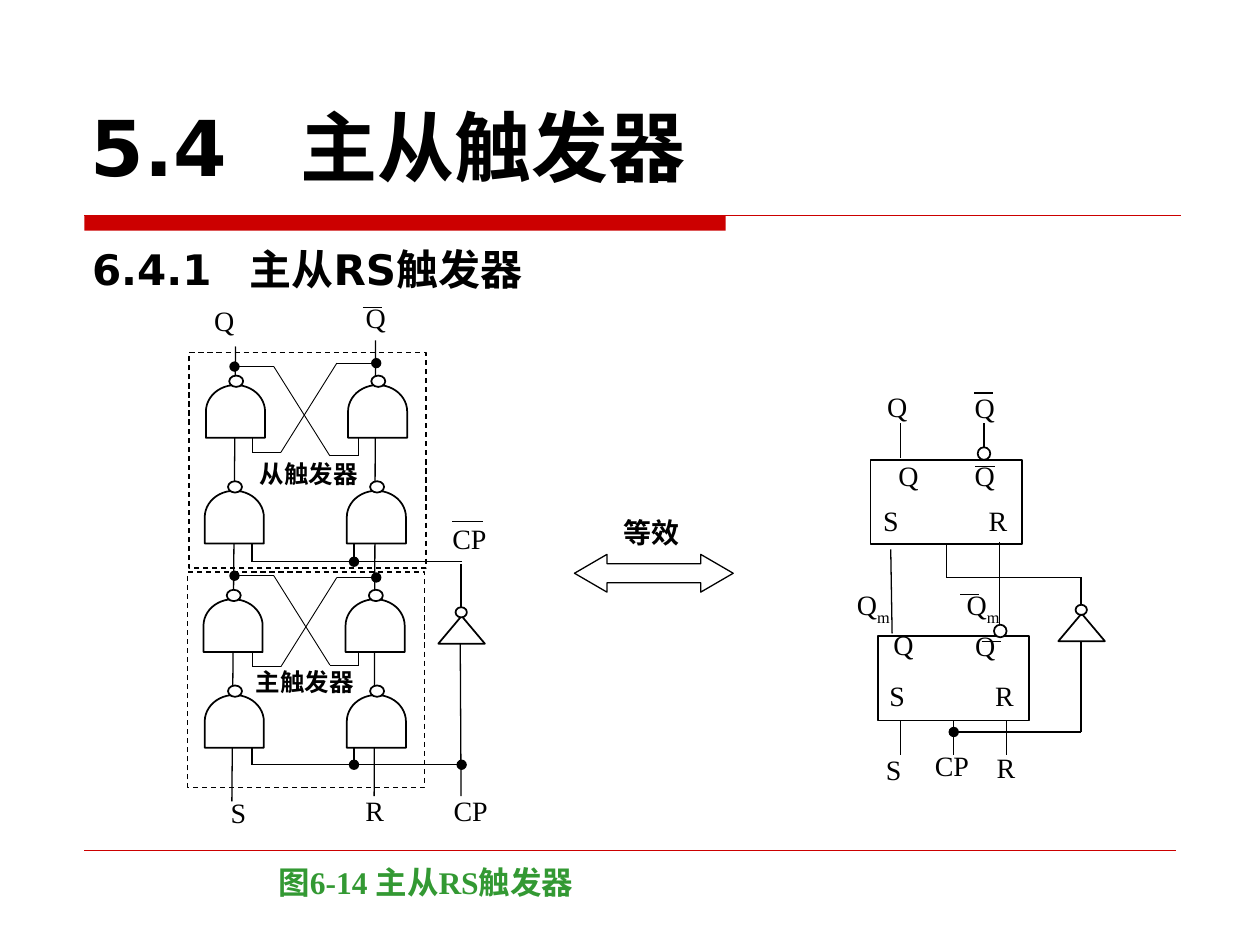
"""Build the master-slave RS flip-flop slide with its circuit and block diagram."""
from lxml import etree
from pptx import Presentation
from pptx import util as u
from pptx.dml import color
from pptx.enum import dml, shapes, text
from pptx.oxml import ns

COLORS = {"ink": "000000", "paper": "FFFFFF", "accent": "CC0000", "caption": "339933"}
SERIF, SANS = "Times New Roman", "DejaVu Sans"
KIND = shapes.MSO_SHAPE


def rgb(name):
    """Return the named palette colour."""
    return color.RGBColor.from_string(COLORS[name])


def add_text(slide, content, left, top, width=30, height=23, size=16, font=SERIF,
             ink="ink", bold=False, tab=None, subscript="", anchor=text.MSO_ANCHOR.TOP):
    """Add a text box without insets, with an optional tab stop and subscript."""
    box = slide.shapes.add_textbox(u.Pt(left), u.Pt(top), u.Pt(width), u.Pt(height))
    frame = box.text_frame
    frame.word_wrap = True
    frame.vertical_anchor = anchor
    frame.margin_left = frame.margin_right = frame.margin_top = frame.margin_bottom = 0
    paragraph = frame.paragraphs[0]
    if tab:
        tabs = etree.SubElement(paragraph._p.get_or_add_pPr(), ns.qn("a:tabLst"))
        etree.SubElement(tabs, ns.qn("a:tab"), pos=str(int(u.Pt(tab))), algn="l")
    for part in filter(None, (content, subscript)):
        run = paragraph.add_run()
        run.text = part
        run.font.size = u.Pt(size)
        run.font.name = font
        run.font.bold = bold
        run.font.color.rgb = rgb(ink)
    if subscript:
        run.font._element.set("baseline", "-30000")


def add_shape(slide, kind, left, top, width, height, fill="paper", line="ink",
              weight=1, rotation=0):
    """Add a preset shape; None for fill or line leaves it out."""
    shape = slide.shapes.add_shape(kind, u.Pt(left), u.Pt(top), u.Pt(width), u.Pt(height))
    shape.shadow.inherit = False
    shape.rotation = rotation
    if fill:
        shape.fill.solid()
        shape.fill.fore_color.rgb = rgb(fill)
    else:
        shape.fill.background()
    if line:
        shape.line.color.rgb = rgb(line)
        shape.line.width = u.Pt(weight)
    else:
        shape.line.fill.background()
    return shape


def add_wire(slide, *points, weight=0.75, ink="ink", dot_start=False, dot_end=False,
             block=None):
    """Join points with straight connectors; block glues the start to its bottom side."""
    segments = []
    for start, end in zip(points, points[1:]):
        segment = slide.shapes.add_connector(
            shapes.MSO_CONNECTOR.STRAIGHT, *(u.Pt(value) for value in start + end))
        segment.line.color.rgb = rgb(ink)
        segment.line.width = u.Pt(weight)
        etree.SubElement(segment._element.spPr, ns.qn("a:effectLst"))
        segments.append(segment)
    if block is not None:
        segments[0].begin_connect(block, 2)
    for wanted, segment, tag in ((dot_start, segments[0], "a:headEnd"),
                                 (dot_end, segments[-1], "a:tailEnd")):
        if wanted:
            etree.SubElement(segment.line._get_or_add_ln(), ns.qn(tag), type="oval")


def add_gate(slide, left, top):
    """Add a NAND gate that points up."""
    add_shape(slide, KIND.FLOWCHART_DELAY, left, top, 30.2, 33.8, rotation=270)
    add_shape(slide, KIND.OVAL, left + 11.5, top - 3.6, 8, 6.5)


def add_inverter(slide, left, top):
    """Add an inverter that points up."""
    add_shape(slide, KIND.FLOWCHART_EXTRACT, left, top, 26.6, 15.8)
    add_shape(slide, KIND.OVAL, left + 9.8, top - 5, 6.5, 5.8)


def add_cross_coupling(slide, left_y, right_y):
    """Add the two mirrored feedback wires of a latch."""
    route = ((134, 0), (156.5, 0), (188.5, 51), (205, 51), (205, 39.5))
    add_wire(slide, *((x, left_y + y) for x, y in route), weight=0.5, dot_start=True)
    add_wire(slide, *((349 - x, right_y + y) for x, y in route), weight=0.5, dot_start=True)


def add_gate_circuit(slide):
    """Draw the gate-level circuit with its two latches."""
    add_cross_coupling(slide, 209.5, 207.5)
    add_cross_coupling(slide, 329, 330)
    add_wire(slide, (214.6, 194.5), (213.8, 455))
    add_wire(slide, (134.6, 198), (132.5, 458))
    for bus_y, dot in ((321, False), (437, True)):
        add_wire(slide, (144, bus_y - 10), (144, bus_y), (263.8, bus_y), dot_end=dot)
        add_wire(slide, (202.3, bus_y - 11.5), (202.3, bus_y), dot_end=True)
    add_wire(slide, (263.5, 322.5), (263.5, 347))
    add_wire(slide, (263, 368), (263.5, 455))
    for left, top in ((119.5, 218.2), (118.8, 278.6), (118.1, 340.6), (118.8, 395.3)):
        add_gate(slide, left, top)
        add_gate(slide, left + 81.2, top)
    add_inverter(slide, 250.5, 352)
    for left, top in ((108, 201.6), (107.3, 326.9)):
        latch = add_shape(slide, KIND.RECTANGLE, left, top, 135.4, 123, fill=None, weight=0.75)
        latch.line.dash_style = dml.MSO_LINE.DASH
    for name, left, top in (("从触发器", 148.3, 262.1), ("主触发器", 146.2, 380.9)):
        add_text(slide, name, left, top, width=73, size=14, bold=True)


def add_block_diagram(slide):
    """Draw the equivalent pair of flip-flop blocks."""
    slave = add_shape(slide, KIND.RECTANGLE, 497.5, 262.8, 86.4, 48.2)
    master = add_shape(slide, KIND.RECTANGLE, 501.8, 363.6, 86.4, 48.2)
    add_wire(slide, (540.7, 311), (540.7, 330), (617.8, 330), (617.8, 418.3),
             (545, 418.3), dot_end=True, block=slave)
    add_wire(slide, (545, 411.8), (545, 431.3), block=master)
    for x in (514.8, 575.3):
        add_wire(slide, (x, 411.8), (x, 431.3))
    for x in (514.8, 562.3):
        add_wire(slide, (x, 242), (x, 262))
    add_wire(slide, (509, 314), (509.8, 362))
    add_wire(slide, (571, 310), (571, 358))
    for left, top in ((558.7, 255.6), (568, 357)):
        add_shape(slide, KIND.OVAL, left, top, 7.2, 7.2)
    add_inverter(slide, 604.8, 350.6)


def add_signal_names(slide):
    """Label the signals and draw the bars over the inverted ones."""
    signals = (
        ("Q", 122.4, 173.5), ("Q", 208.9, 172), ("S", 131.8, 454.3), ("R", 208.8, 453.6),
        ("CP", 259.2, 453.6), ("CP", 258.5, 298), ("Q", 506.9, 222.5), ("Q", 557, 223.2),
        ("Q", 513.4, 262), ("Q", 557, 262), ("S", 504.7, 288), ("R", 565, 288),
        ("Q", 510.5, 358.6), ("Q", 557.3, 359.3), ("S", 508.3, 388), ("R", 568.6, 388),
        ("S", 506.2, 429.8), ("CP", 534.2, 427.7), ("R", 569.5, 429.1))
    for name, left, top in signals:
        add_text(slide, name, left, top)
    for left in (489.7, 552.4):
        add_text(slide, "Q", left, 335.5, subscript="m")
    bars = ((207.4, 175.7, 11), (258.5, 298, 17.3), (556.6, 224.6, 11),
            (557.3, 266.4, 11), (548.6, 339.8, 11), (560.9, 366.5, 11))
    for left, y, length in bars:
        add_wire(slide, (left, y), (left + length, y))


def main():
    """Build and save the slide."""
    presentation = Presentation()
    presentation.slide_width, presentation.slide_height = u.Pt(720), u.Pt(540)
    slide = presentation.slides.add_slide(presentation.slide_layouts[6])
    add_shape(slide, KIND.RECTANGLE, 48.2, 123.1, 366.5, 8.7, fill="accent", line=None)
    add_wire(slide, (48.2, 123.1), (674.6, 123.1), ink="accent")
    add_wire(slide, (48.2, 486), (671.8, 486), ink="accent", weight=0.25)
    add_text(slide, "5.4\t主从触发器", 52, 37.4, width=616, height=72, size=44,
             font=SANS, bold=True, tab=120, anchor=text.MSO_ANCHOR.BOTTOM)
    add_text(slide, "6.4.1\t主从RS触发器", 52.6, 139, width=352, height=29, size=24,
             font=SANS, bold=True, tab=90)
    add_text(slide, "图6-14 主从RS触发器", 159.1, 493.2, width=368, height=25, size=18,
             ink="caption", bold=True)
    add_gate_circuit(slide)
    add_block_diagram(slide)
    add_signal_names(slide)
    arrow = add_shape(slide, KIND.LEFT_RIGHT_ARROW, 328.3, 316.8, 90.7, 21.6, weight=0.75)
    arrow.adjustments[0], arrow.adjustments[1] = 0.5, 0.86
    add_text(slide, "等效", 356.4, 294.5, width=55, bold=True)
    presentation.save("out.pptx")


if __name__ == "__main__":
    main()
